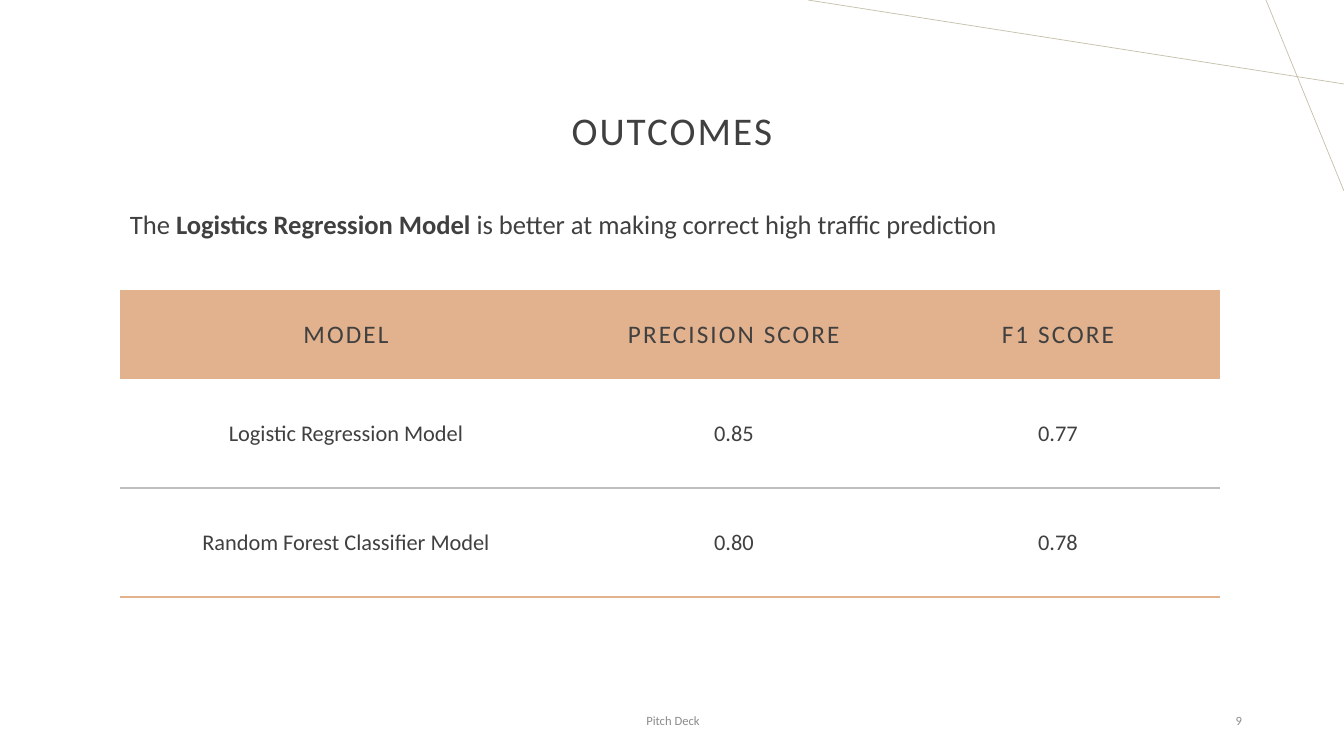
from lxml import etree
from pptx import Presentation
from pptx.dml.color import RGBColor
from pptx.enum.text import MSO_ANCHOR, PP_ALIGN
from pptx.oxml.ns import qn
from pptx.util import Emu, Pt

LEFT, CENTER, RIGHT = PP_ALIGN.LEFT, PP_ALIGN.CENTER, PP_ALIGN.RIGHT
TOP, MIDDLE = MSO_ANCHOR.TOP, MSO_ANCHOR.MIDDLE

PX_PER_INCH = 100.8
COLORS = {
    "text": "404040",
    "footer": "8C8C8C",
    "accent": "E2B18D",
    "divider": "BFBFBF",
    "line": "C6BFA9",
}
FORMATS = {
    "title": {"size": 28, "color": "text", "spacing": 150},
    "summary": {"size": 19, "color": "text"},
    "header": {"size": 18, "color": "text", "spacing": 150},
    "body": {"size": 16, "color": "text"},
    "footer": {"size": 9, "color": "footer"},
}
SCORES = [
    ["MODEL", "PRECISION SCORE", "F1 SCORE"],
    ["Logistic Regression Model", "0.85", "0.77"],
    ["Random Forest Classifier Model", "0.80", "0.78"],
]


def px(length):
    return Emu(round(length * 914400 / PX_PER_INCH))


def rgb(name):
    return RGBColor.from_string(COLORS[name])


class SlideBuilder:
    def __init__(self, page, font="Calibri"):
        self.page = page
        self.font = font

    def fill_para(self, para, spans, style, align, **layout):
        """Fill a paragraph with (text, bold) spans in one named format."""
        for name, value in {"alignment": align, **layout}.items():
            setattr(para, name, value)
        look = FORMATS[style]
        for text, bold in spans:
            span = para.add_run()
            span.text = text
            font = {"name": self.font, "size": Pt(look["size"]), "bold": bold}
            for name, value in font.items():
                setattr(span.font, name, value)
            span.font.color.rgb = rgb(look["color"])
            if "spacing" in look:
                span.font._element.set("spc", str(look["spacing"]))

    def text(self, bounds, spans, style, align=CENTER, anchor=MIDDLE, **layout):
        box = self.page.shapes.add_textbox(*map(px, bounds))
        frame = box.text_frame
        frame.word_wrap = True
        frame.vertical_anchor = anchor
        self.fill_para(frame.paragraphs[0], spans, style, align, **layout)

    def line(self, start, end):
        points = map(px, (*start, *end))
        line = self.page.shapes.add_connector(1, *points)
        line.line.color.rgb = rgb("line")
        line.line.width = Pt(0.5)
        etree.SubElement(line._element.spPr, qn("a:effectLst"))

    def borders(self, cell, colors):
        """Draw the sides named in colors and hide the others."""
        properties = cell._tc.get_or_add_tcPr()
        for index, side in enumerate("LRTB"):
            edge = etree.Element(qn(f"a:ln{side}"), w=str(Pt(1)))
            if side in colors:
                fill = etree.SubElement(edge, qn("a:solidFill"))
                etree.SubElement(fill, qn("a:srgbClr"), val=COLORS[colors[side]])
            else:
                etree.SubElement(edge, qn("a:noFill"))
            properties.insert(index, edge)

    def table(self, left, top, widths, heights, rows):
        bounds = (left, top, sum(widths), sum(heights))
        table = self.page.shapes.add_table(
            len(rows), len(widths), *map(px, bounds)
        ).table
        table.first_row = table.horz_banding = False
        for column, width in zip(table.columns, widths):
            column.width = px(width)
        for row, height in zip(table.rows, heights):
            row.height = px(height)
        for row_index, values in enumerate(rows):
            is_header = row_index == 0
            edges = {} if is_header else {"B": "accent"}
            if row_index > 1:
                edges["T"] = "divider"
            for column_index, value in enumerate(values):
                cell = table.cell(row_index, column_index)
                cell.vertical_anchor = MIDDLE
                if is_header:
                    cell.fill.solid()
                    cell.fill.fore_color.rgb = rgb("accent")
                else:
                    cell.fill.background()
                self.borders(cell, edges)
                style = "header" if is_header else "body"
                para = cell.text_frame.paragraphs[0]
                self.fill_para(para, [(value, False)], style, CENTER)


def main():
    deck = Presentation()
    deck.slide_width, deck.slide_height = px(1344), px(756)
    slide = SlideBuilder(deck.slides.add_slide(deck.slide_layouts[6]))

    slide.line((1344, 84), (808, 0))
    slide.line((1266, 0), (1344, 191))
    slide.text((208, 60, 928, 146), [("OUTCOMES", False)], "title", line_spacing=0.9)
    slide.text((446, 701, 454, 40), [("Pitch Deck", False)], "footer")
    slide.text((950, 701, 302, 40), [("9", False)], "footer", RIGHT)
    summary = [
        ("The ", False),
        ("Logistics Regression Model", True),
        (" is better at making correct high traffic prediction", False),
    ]
    slide.text((120, 207, 959, 54), summary, "summary", LEFT, TOP,
               line_spacing=0.9, space_before=Pt(10))
    slide.table(120, 290, [452, 324, 324], [89, 109, 109], SCORES)
    deck.save("out.pptx")


if __name__ == "__main__":
    main()
